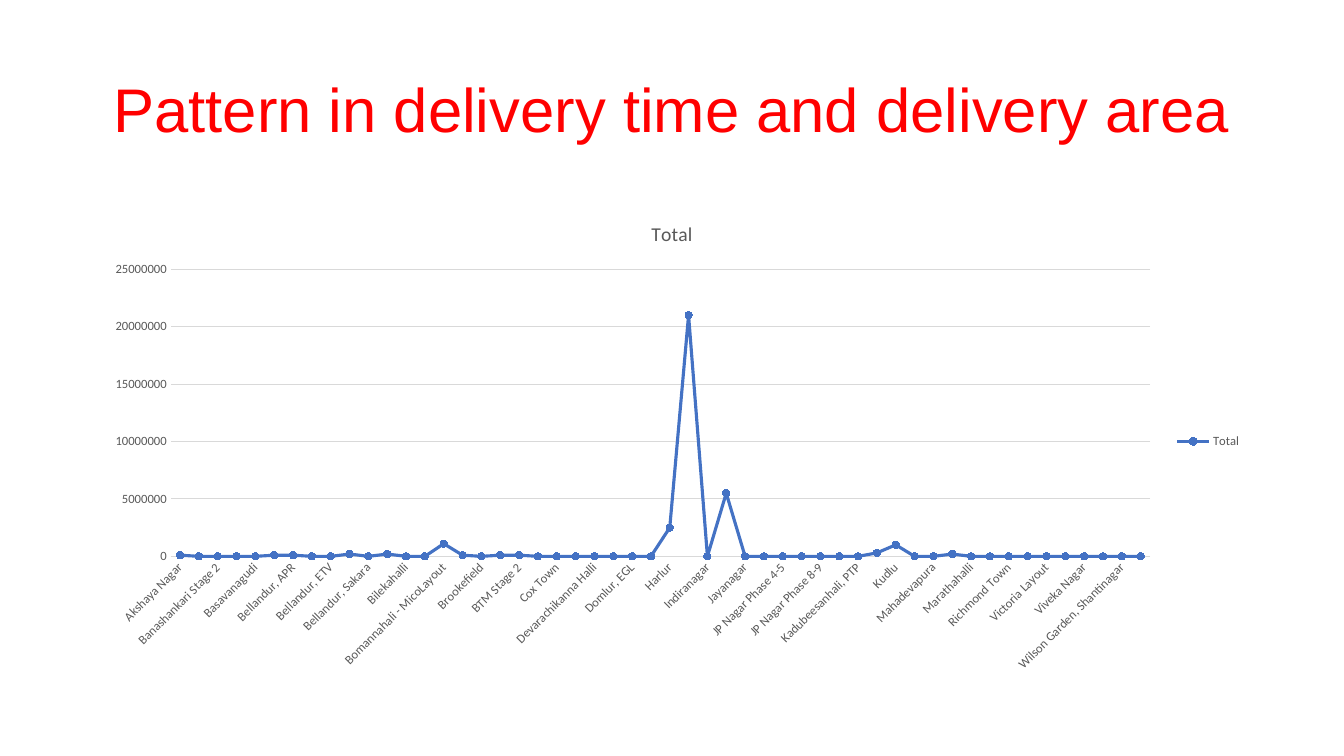
from pptx import Presentation
from pptx.chart.data import CategoryChartData
from pptx.dml.color import RGBColor
from pptx.enum.chart import XL_CHART_TYPE, XL_LEGEND_POSITION, XL_MARKER_STYLE, XL_TICK_MARK
from pptx.enum.text import MSO_ANCHOR, PP_ALIGN
from pptx.util import Pt

EMU_PER_PX = 9525
LINE_MARKERS = XL_CHART_TYPE.LINE_MARKERS
LEGEND_RIGHT = XL_LEGEND_POSITION.RIGHT
CIRCLE = XL_MARKER_STYLE.CIRCLE
NO_TICK = XL_TICK_MARK.NONE
MIDDLE = MSO_ANCHOR.MIDDLE
CENTER = PP_ALIGN.CENTER

RED, BLUE, GRAY, LIGHT_GRAY = "FF0000", "4472C4", "595959", "D9D9D9"

AREAS = [
    "Akshaya Nagar", "Arekere", "Banashankari Stage 2", "Bannerghatta",
    "Basavanagudi", "Bellandur - Off Sarjapur Road", "Bellandur, APR",
    "Bellandur, Ecospace", "Bellandur, ETV", "Bellandur, Green Glen",
    "Bellandur, Sakara", "Bellandur, Sarjapur Road", "Bilekahalli", "Binnipet",
    "Bomannahali - MicoLayout", "Bommanahalli", "Brookefield", "BTM Stage 1",
    "BTM Stage 2", "Challagatta", "Cox Town", "CV Raman Nagar",
    "Devarachikanna Halli", "Doddanekundi", "Domlur, EGL", "Frazer Town",
    "Harlur", "HSR Layout", "Indiranagar", "ITI Layout", "Jayanagar",
    "JP Nagar Phase 1-3", "JP Nagar Phase 4-5", "JP Nagar Phase 6-7",
    "JP Nagar Phase 8-9", "Kadubeesanhali, Heritage", "Kadubeesanhali, PTP",
    "Koramangala, Ejipura", "Kudlu", "Kumaraswamy Layout", "Mahadevapura",
    "Manipal County", "Marathahalli", "Pattandur", "Richmond Town",
    "Sarjapur Road", "Victoria Layout", "Vimanapura", "Viveka Nagar",
    "Whitefield", "Wilson Garden, Shantinagar", "Yemalur",
]
# Every area not listed here rounds to zero.
AREA_TOTALS = {
    "Akshaya Nagar": 100000,
    "Bellandur - Off Sarjapur Road": 100000,
    "Bellandur, APR": 100000,
    "Bellandur, Green Glen": 200000,
    "Bellandur, Sarjapur Road": 200000,
    "Bomannahali - MicoLayout": 1100000,
    "Bommanahalli": 100000,
    "BTM Stage 1": 100000,
    "BTM Stage 2": 100000,
    "Harlur": 2500000,
    "HSR Layout": 21000000,
    "ITI Layout": 5500000,
    "Koramangala, Ejipura": 300000,
    "Kudlu": 1000000,
    "Manipal County": 200000,
}


def px(length):
    return length * EMU_PER_PX


def color(hex_value):
    return RGBColor.from_string(hex_value)


def set_values(target, values):
    for name, value in values.items():
        setattr(target, name, value)


def set_font(font, name, size, hex_value):
    set_values(font, {"name": name, "size": Pt(size), "bold": False})
    font.color.rgb = color(hex_value)


def set_line(line, hex_value, width):
    line.color.rgb = color(hex_value)
    line.width = Pt(width)


def place(shape, left, top, width, height):
    set_values(shape, {"left": px(left), "top": px(top),
                       "width": px(width), "height": px(height)})


def add_title(slide, text):
    title = slide.shapes.title
    place(title, 88, 38, 1104, 139)
    set_values(title.text_frame, {"word_wrap": True, "vertical_anchor": MIDDLE})
    paragraph = title.text_frame.paragraphs[0]
    set_values(paragraph, {"alignment": CENTER, "line_spacing": 0.9})
    run = paragraph.add_run()
    run.text = text
    set_font(run.font, "Arial", 44, RED)


def format_axes(chart):
    for axis in (chart.category_axis, chart.value_axis):
        set_values(axis, {"major_tick_mark": NO_TICK, "minor_tick_mark": NO_TICK})
        set_font(axis.tick_labels.font, "Calibri", 9, GRAY)
    set_line(chart.category_axis.format.line, LIGHT_GRAY, 0.75)

    value_axis = chart.value_axis
    set_values(value_axis, {"minimum_scale": 0, "maximum_scale": 25000000,
                            "major_unit": 5000000, "has_major_gridlines": True})
    value_axis.format.line.fill.background()
    set_line(value_axis.major_gridlines.format.line, LIGHT_GRAY, 0.75)


def format_series(series):
    series.smooth = False
    set_line(series.format.line, BLUE, 2.25)
    marker = series.marker
    set_values(marker, {"style": CIRCLE, "size": 5})
    marker.format.fill.solid()
    marker.format.fill.fore_color.rgb = color(BLUE)
    set_line(marker.format.line, BLUE, 0.75)


def add_line_chart(slide, name):
    data = CategoryChartData()
    data.categories = AREAS
    data.add_series(name, [AREA_TOTALS.get(area, 0) for area in AREAS])
    chart = slide.shapes.add_chart(
        LINE_MARKERS, px(88), px(192), px(1104), px(457), data).chart
    set_font(chart.font, "Calibri", 10, "000000")

    chart.has_title = True
    chart.chart_title.include_in_layout = False
    run = chart.chart_title.text_frame.paragraphs[0].add_run()
    run.text = name
    set_font(run.font, "Calibri", 14, GRAY)

    chart.has_legend = True
    set_values(chart.legend, {"position": LEGEND_RIGHT, "include_in_layout": False})
    set_font(chart.legend.font, "Calibri", 9, GRAY)

    format_axes(chart)
    plot = chart.plots[0]
    plot.vary_by_categories = False
    format_series(plot.series[0])


def main():
    presentation = Presentation()
    set_values(presentation, {"slide_width": px(1280), "slide_height": px(720)})
    slide = presentation.slides.add_slide(
        presentation.slide_layouts.get_by_name("Title Only"))
    add_title(slide, "Pattern in delivery time and delivery area")
    add_line_chart(slide, "Total")
    presentation.save("out.pptx")


if __name__ == "__main__":
    main()
